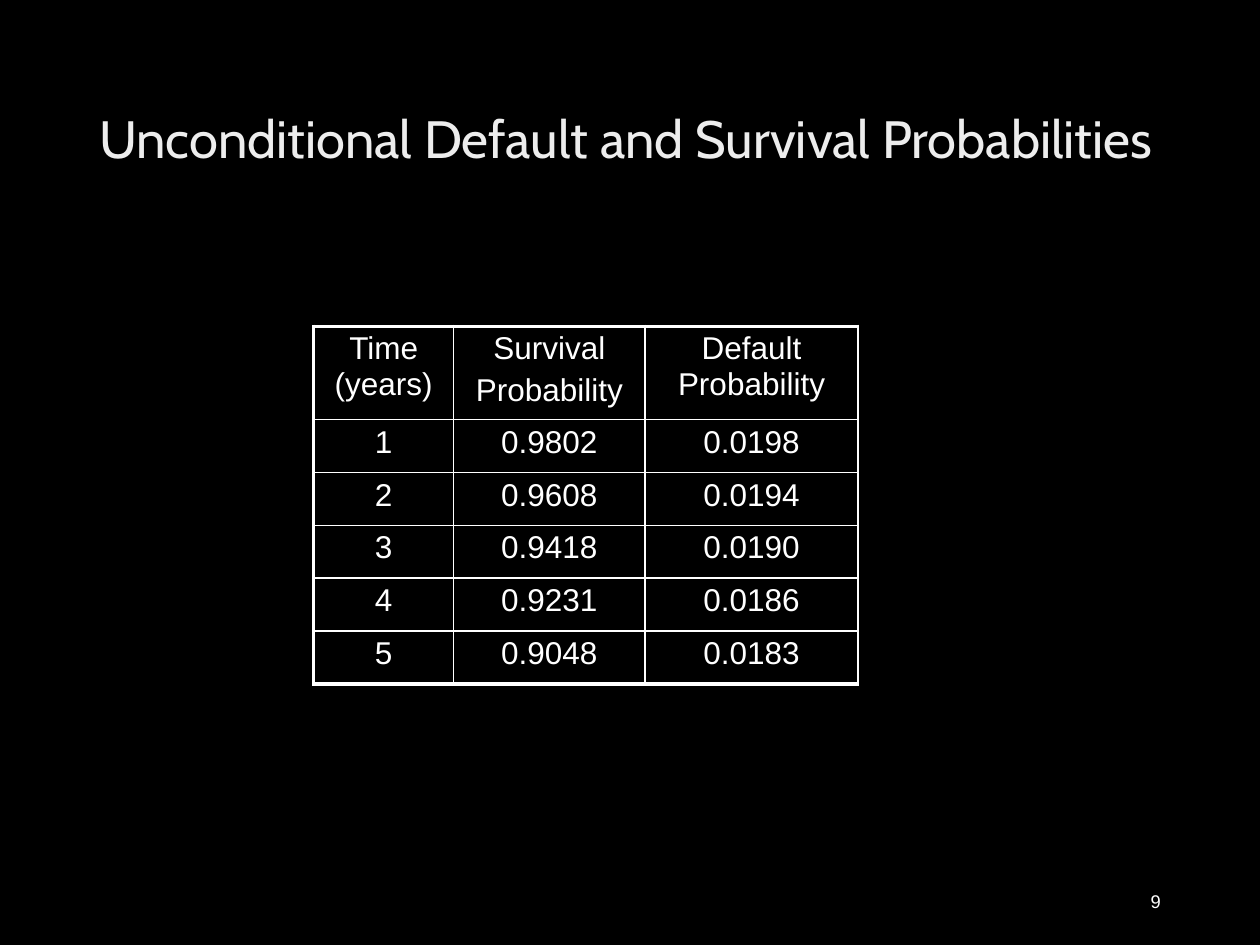
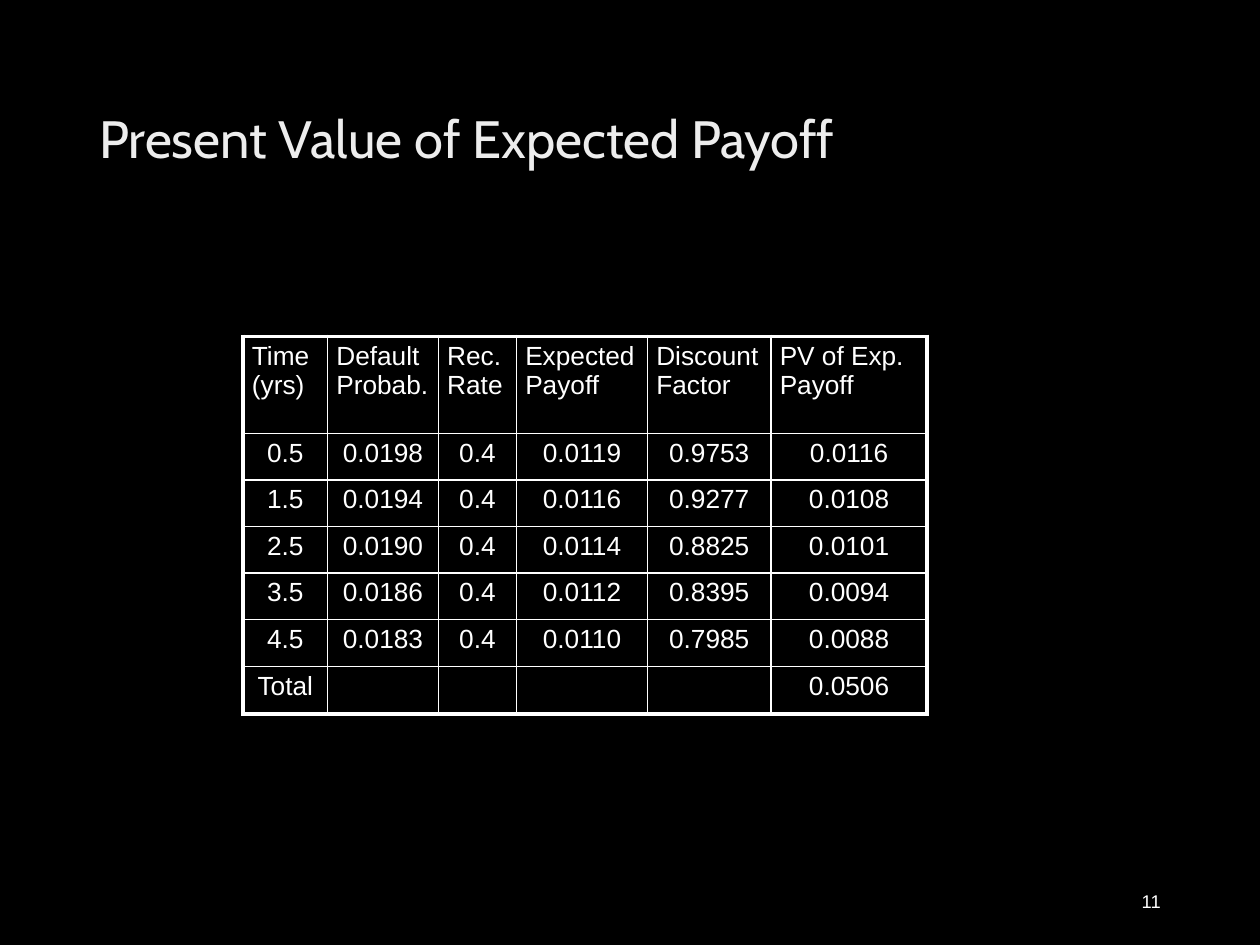
import copy

import pptx
import pptx.dml.color
import pptx.enum.text
import pptx.oxml
import pptx.oxml.ns
import pptx.util

Inches = pptx.util.Inches
Pt = pptx.util.Pt
Align = pptx.enum.text.PP_ALIGN

COLORS = {
    "background": "000000",
    "text": "FFFFFF",
    "border": "FFFFFF",
    "title_start": "BFBFBF",
    "title_middle": "EDEDED",
    "title_end": "FFFFFF",
}
TITLE_STOPS = [(0, "title_start"), (0.28, "title_middle"), (1, "title_end")]
THIN, THICK = 1, 2.25

SLIDES = [
    {
        "title": "Unconditional Default and Survival Probabilities",
        "number": "9",
        "left": 2.49, "top": 2.59,
        "columns": [1.11, 1.52, 1.69],
        "header_height": 0.74, "row_height": 0.42,
        "font_size": 18, "side_margin": 0.08,
        "header_align": Align.CENTER, "right_border": THIN,
        "rows": [
            ["Time (years)", "Survival\nProbability", "Default Probability"],
            ["1", "0.9802", "0.0198"],
            ["2", "0.9608", "0.0194"],
            ["3", "0.9418", "0.0190"],
            ["4", "0.9231", "0.0186"],
            ["5", "0.9048", "0.0183"],
        ],
    },
    {
        "title": "Present Value of Expected Payoff",
        "number": "11",
        "left": 1.93, "top": 2.67,
        "columns": [0.67, 0.88, 0.62, 1.04, 0.98, 1.24],
        "header_height": 0.77, "row_height": 0.37,
        "font_size": 15, "side_margin": 0.07,
        "header_align": Align.LEFT, "right_border": THICK,
        "rows": [
            ["Time (yrs)", "Default Probab.", "Rec. Rate",
             "Expected Payoff", "Discount Factor", "PV of Exp. Payoff"],
            ["0.5", "0.0198", "0.4", "0.0119", "0.9753", "0.0116"],
            ["1.5", "0.0194", "0.4", "0.0116", "0.9277", "0.0108"],
            ["2.5", "0.0190", "0.4", "0.0114", "0.8825", "0.0101"],
            ["3.5", "0.0186", "0.4", "0.0112", "0.8395", "0.0094"],
            ["4.5", "0.0183", "0.4", "0.0110", "0.7985", "0.0088"],
            ["Total", "", "", "", "", "0.0506"],
        ],
    },
]


def rgb(name):
    return pptx.dml.color.RGBColor.from_string(COLORS[name])


def add_text(slide, text, left, top, width, height, font_name, size):
    """Add a vertically centred text box and return its paragraph."""
    box = slide.shapes.add_textbox(
        Inches(left), Inches(top), Inches(width), Inches(height))
    box.text_frame.word_wrap = True
    box.text_frame.vertical_anchor = pptx.enum.text.MSO_ANCHOR.MIDDLE
    box.text_frame.text = text
    paragraph = box.text_frame.paragraphs[0]
    font = paragraph.runs[0].font
    font.name, font.size = font_name, Pt(size)
    font.color.rgb = rgb("text")
    return paragraph


presentation = pptx.Presentation()
presentation.slide_width = Inches(10)
presentation.slide_height = Inches(7.5)

for content in SLIDES:
    slide = presentation.slides.add_slide(presentation.slide_layouts[6])
    slide.background.fill.solid()
    slide.background.fill.fore_color.rgb = rgb("background")

    # Title with a gradient from grey to white
    title = add_text(slide, content["title"], 0.69, 0.4, 8.62, 1.45, "Cabin", 30)
    title.line_spacing = 0.9
    title_run = title.runs[0]
    title_fill = title_run.font.fill
    title_fill.gradient()
    title_fill.gradient_angle = 280
    stop_list = next(title_run._r.iter(pptx.oxml.ns.qn("a:gsLst")))
    stop_list.append(copy.deepcopy(stop_list[0]))
    for stop, (position, color) in zip(title_fill.gradient_stops, TITLE_STOPS):
        stop.position = position
        stop.color.rgb = rgb(color)

    number = add_text(slide, content["number"], 7.06, 6.95, 2.25, 0.4, "Arial", 10.5)
    number.alignment = Align.RIGHT

    # Table
    rows, columns = content["rows"], content["columns"]
    heights = [content["header_height"]] + [content["row_height"]] * (len(rows) - 1)
    table = slide.shapes.add_table(
        len(rows), len(columns), Inches(content["left"]), Inches(content["top"]),
        Inches(sum(columns)), Inches(sum(heights))).table
    table.first_row = table.horz_banding = False
    for column, width in zip(table.columns, columns):
        column.width = Inches(width)
    for row, height in zip(table.rows, heights):
        row.height = Inches(height)

    for row_index, values in enumerate(rows):
        for column_index, value in enumerate(values):
            cell = table.cell(row_index, column_index)
            cell.margin_left = cell.margin_right = Inches(content["side_margin"])
            cell.margin_top = cell.margin_bottom = Inches(0.04)
            cell.text_frame.text = value
            for index, paragraph in enumerate(cell.text_frame.paragraphs):
                paragraph.alignment = Align.CENTER if row_index else content["header_align"]
                if index:
                    paragraph.space_before = Pt(0.2 * content["font_size"])
                for run in paragraph.runs:
                    run.font.name = "Arial"
                    run.font.size = Pt(content["font_size"])
                    run.font.color.rgb = rgb("text")

            # Borders come before the fill in the cell properties
            borders = {
                "lnL": THIN if column_index else THICK,
                "lnR": content["right_border"] if column_index == len(columns) - 1 else THIN,
                "lnT": THIN if row_index else THICK,
                "lnB": THICK if row_index == len(rows) - 1 else THIN,
            }
            properties = cell._tc.get_or_add_tcPr()
            for side, width in borders.items():
                properties.append(pptx.oxml.parse_xml(
                    f'<a:{side} {pptx.oxml.ns.nsdecls("a")} w="{Pt(width)}"><a:solidFill>'
                    f'<a:srgbClr val="{COLORS["border"]}"/></a:solidFill></a:{side}>'))
            cell.fill.background()

presentation.save("out.pptx")
